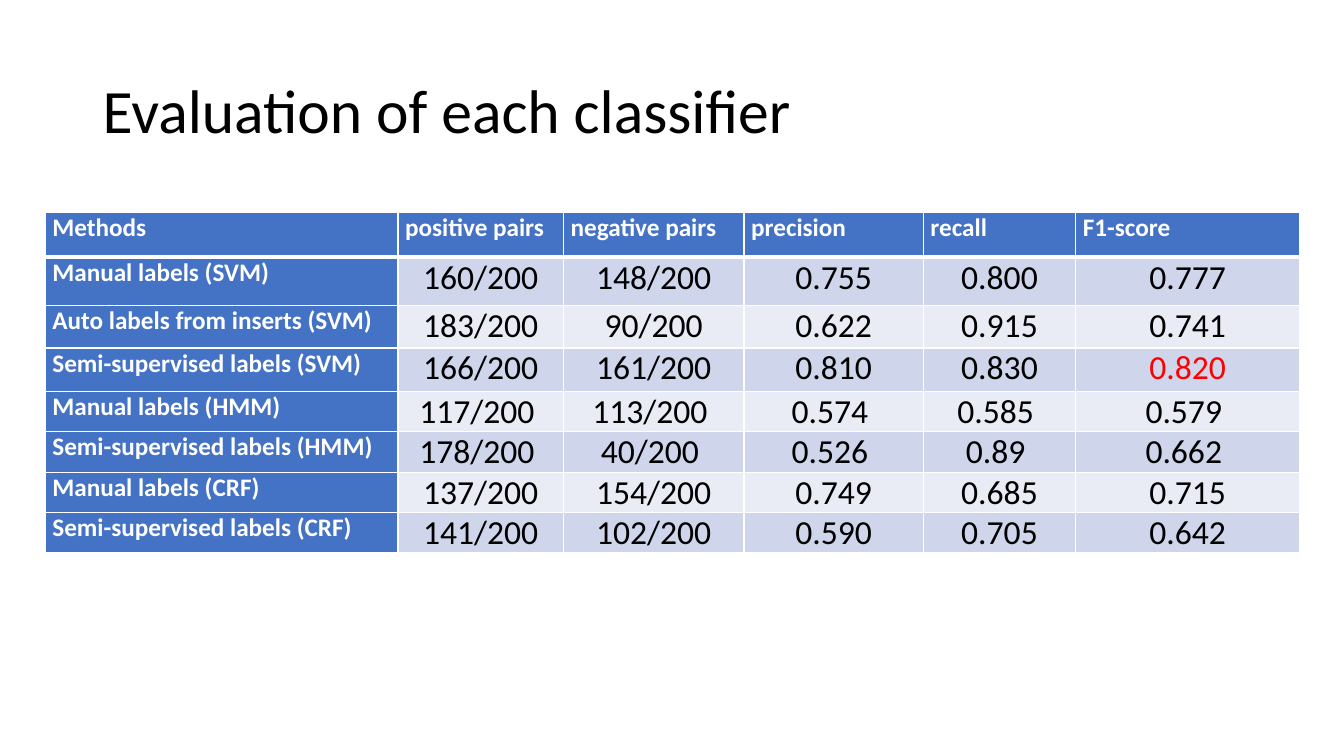
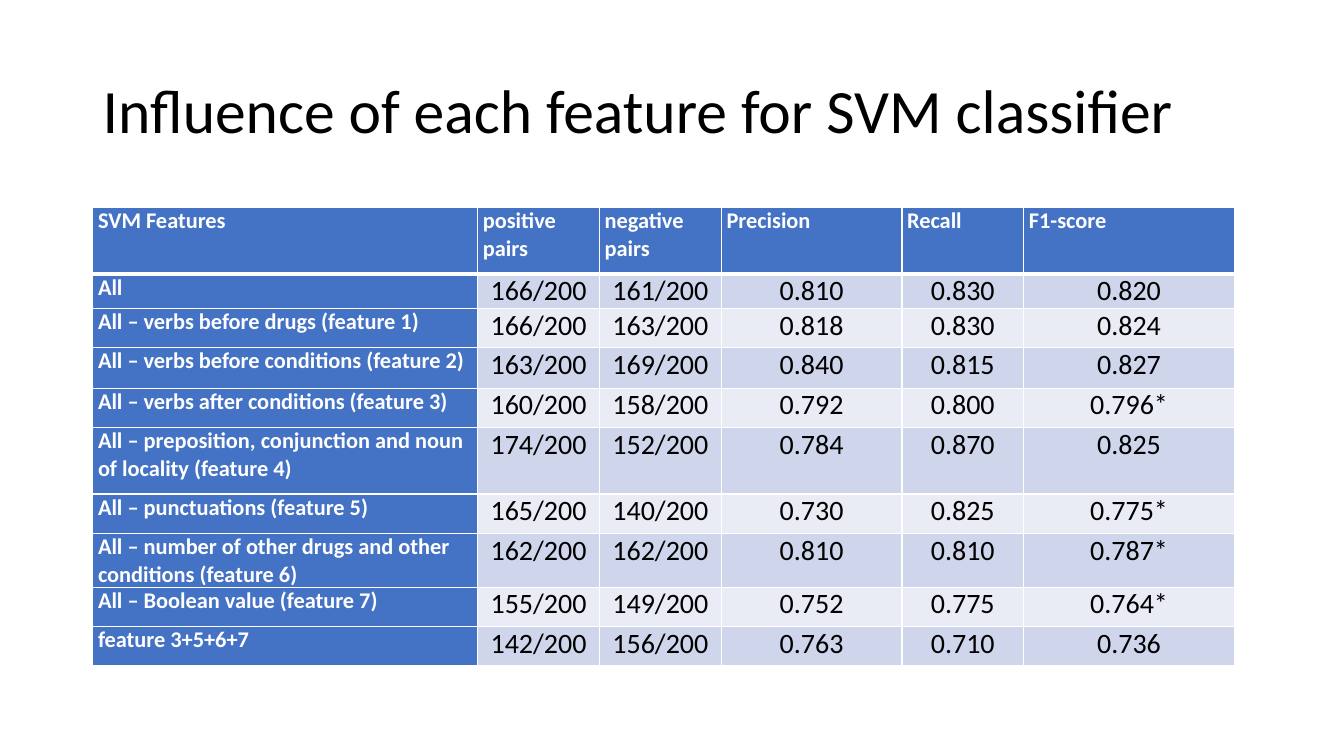
"""Builds two slides of classifier evaluation tables."""
from lxml import etree
from pptx import Presentation
from pptx.dml.color import RGBColor
from pptx.enum.text import MSO_ANCHOR, PP_ALIGN
from pptx.oxml.ns import qn
from pptx.util import Cm, Pt

MIDDLE = MSO_ANCHOR.MIDDLE
LEFT, CENTER, JUSTIFY = PP_ALIGN.LEFT, PP_ALIGN.CENTER, PP_ALIGN.JUSTIFY

CLASSIFIERS = [
    ("Methods", "positive pairs", "negative pairs", "precision", "recall", "F1-score"),
    ("Manual labels (SVM)", "160/200", "148/200", "0.755", "0.800", "0.777"),
    ("Auto labels from inserts (SVM)", "183/200", "90/200", "0.622", "0.915", "0.741"),
    ("Semi-supervised labels (SVM)", "166/200", "161/200", "0.810", "0.830", "0.820"),
    ("Manual labels (HMM)", "117/200 ", "113/200 ", "0.574 ", "0.585 ", "0.579 "),
    ("Semi-supervised labels (HMM)", "178/200 ", "40/200 ", "0.526 ", "0.89 ", "0.662 "),
    ("Manual labels (CRF)", "137/200", "154/200", "0.749", "0.685", "0.715"),
    ("Semi-supervised labels (CRF)", "141/200", "102/200", "0.590", "0.705", "0.642"),
]
FEATURES = [
    ("SVM Features", "positive pairs", "negative pairs", "Precision", "Recall", "F1-score"),
    ("All", "166/200", "161/200", "0.810", "0.830", "0.820"),
    ("All – verbs before drugs (feature 1)", "166/200", "163/200", "0.818", "0.830", "0.824"),
    ("All – verbs before conditions (feature 2)", "163/200", "169/200", "0.840", "0.815", "0.827"),
    ("All – verbs after conditions (feature 3)", "160/200", "158/200", "0.792", "0.800", "0.796*"),
    ("All – preposition, conjunction and noun of locality (feature 4)",
     "174/200", "152/200", "0.784", "0.870", "0.825"),
    ("All – punctuations (feature 5)", "165/200", "140/200", "0.730", "0.825", "0.775*"),
    ("All – number of other drugs and other conditions (feature 6)",
     "162/200", "162/200", "0.810", "0.810", "0.787*"),
    ("All – Boolean value (feature 7)", "155/200", "149/200", "0.752", "0.775", "0.764*"),
    ("feature 3+5+6+7", "142/200", "156/200", "0.763", "0.710", "0.736"),
]


def rgb(value):
    return RGBColor.from_string(value)


class Deck:
    FONT = "Calibri"
    INK, WHITE, ACCENT = "000000", "FFFFFF", "FF0000"
    HEADING, BANDS = "4472C4", ("E9EBF5", "CFD5EA")

    def __init__(self):
        self.deck = Presentation()
        self.deck.slide_width, self.deck.slide_height = Cm(33.87), Cm(19.05)
        self.slide = None

    def new_slide(self, title):
        self.slide = self.deck.slides.add_slide(self.deck.slide_layouts[6])
        frame = self.slide.shapes.add_textbox(Cm(2.34), Cm(1.02), Cm(29.21), Cm(3.68)).text_frame
        frame.word_wrap = True
        frame.vertical_anchor = MIDDLE
        frame.paragraphs[0].line_spacing = 0.9
        self.add_text(frame.paragraphs[0], title, 44, self.INK)

    def add_text(self, paragraph, text, size, color, bold=False):
        run = paragraph.add_run()
        run.text = text
        run.font.name, run.font.size, run.font.bold = self.FONT, Pt(size), bold
        run.font.color.rgb = rgb(color)

    def border(self, cell, top, bottom):
        properties = cell._tc.get_or_add_tcPr()
        for side, width in (("L", 1), ("R", 1), ("T", top), ("B", bottom)):
            line = etree.SubElement(properties, qn(f"a:ln{side}"), w=str(Pt(width)))
            fill = etree.SubElement(line, qn("a:solidFill"))
            etree.SubElement(fill, qn("a:srgbClr"), val=self.WHITE)

    def table(self, rows, left, top, widths, heights, label_size, value_size,
              label_align, inset, best=None):
        table = self.slide.shapes.add_table(
            len(rows), len(widths), Cm(left), Cm(top), Cm(sum(widths)), Cm(sum(heights))).table
        table.first_col, table.horz_banding = True, False
        for column, width in zip(table.columns, widths):
            column.width = Cm(width)
        for r, (row, height) in enumerate(zip(rows, heights)):
            table.rows[r].height = Cm(height)
            for c, text in enumerate(row):
                cell = table.cell(r, c)
                heading = r == 0 or c == 0
                self.border(cell, 3 if r == 1 else 1, 3 if r == 0 else 1)
                cell.fill.solid()
                cell.fill.fore_color.rgb = rgb(self.HEADING if heading else self.BANDS[r % 2])
                cell.margin_left = cell.margin_right = Cm(inset)
                cell.margin_top = cell.margin_bottom = 0
                paragraph = cell.text_frame.paragraphs[0]
                paragraph.alignment = label_align if heading else CENTER
                if heading:
                    self.add_text(paragraph, text, label_size, self.WHITE, True)
                else:
                    color = self.ACCENT if (r, c) == best else self.INK
                    self.add_text(paragraph, text, value_size, color)


def main():
    deck = Deck()
    deck.new_slide("Evaluation of each classifier")
    deck.table(CLASSIFIERS, 1.14, 5.36, (8.89, 4.17, 4.55, 4.52, 3.84, 5.64),
               (1.12, 1.22, 1.07, 1.09, 0.91, 1.02, 0.91, 0.94), 18, 24, JUSTIFY, 0.18, (3, 5))
    deck.new_slide("Influence of each feature for SVM classifier")
    deck.table(FEATURES, 2.34, 5.23, (9.7, 3.07, 3.07, 4.55, 3.07, 5.31),
               (1.68, 0.86, 0.99, 1.02, 0.99, 1.68, 0.99, 1.35, 0.99, 0.99), 16, 20, LEFT, 0.13)
    deck.deck.save("out.pptx")


if __name__ == "__main__":
    main()
